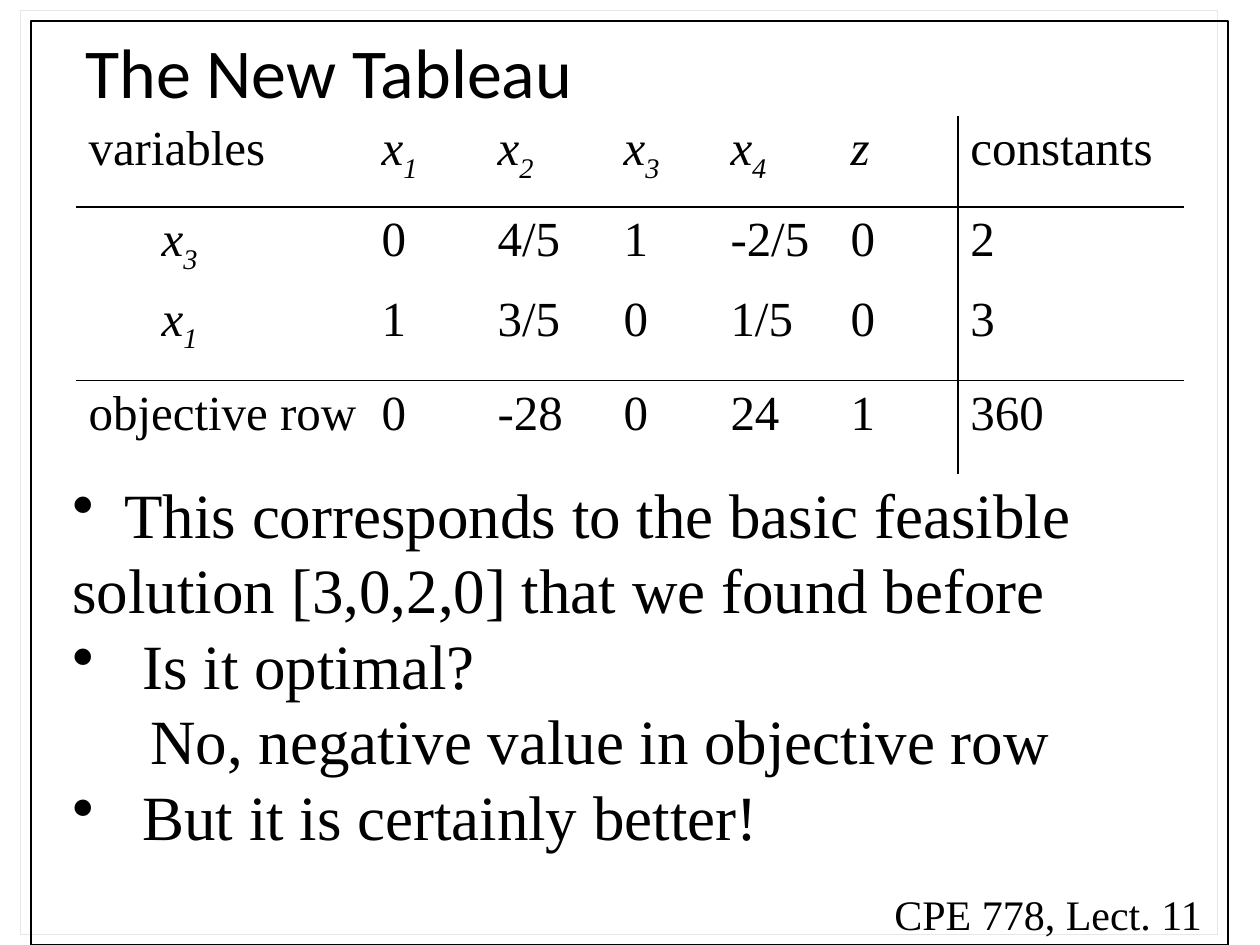
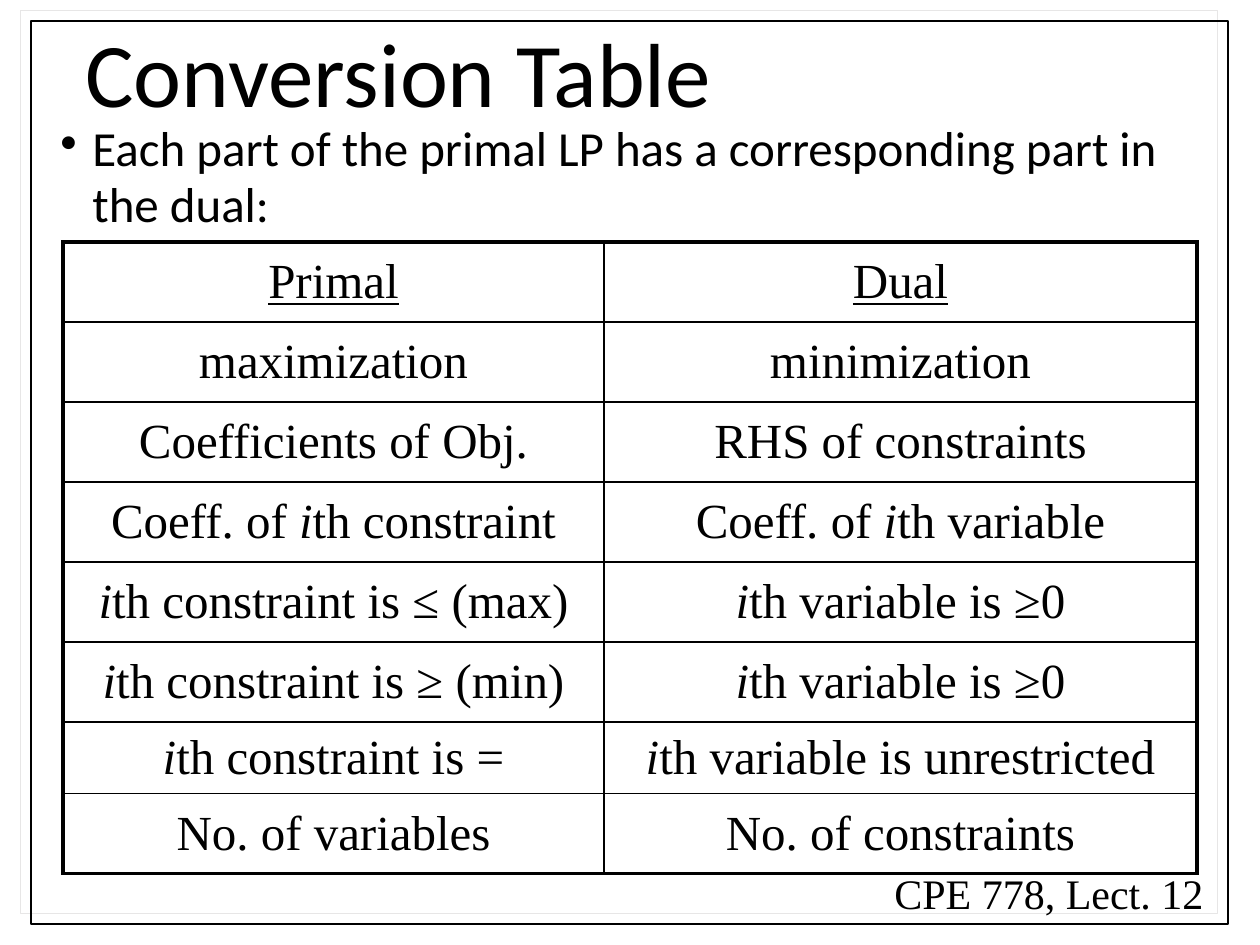
from collections import namedtuple

from pptx import Presentation
from pptx.dml.color import RGBColor
from pptx.enum.shapes import MSO_SHAPE as Preset
from pptx.enum.text import MSO_ANCHOR as Anchor, PP_ALIGN as Align
from pptx.oxml import parse_xml
from pptx.oxml.ns import nsdecls, qn
from pptx.util import Emu, Pt

EMU_PER_PX = 914400 / 126
INK = "000000"
SHADOW = "E7E6E6"
SANS = "Calibri"
SERIF = "Times New Roman"
PLAIN_TABLE = "{2D5ABB26-0587-4C30-8999-92F81FD0307C}"
CELL_SIZE = 28
THIN, THICK = 1, 2.25

Run = namedtuple("Run", "text italic subscript underline", defaults=(False, False, False))


def px(length):
    return Emu(round(length * EMU_PER_PX))


def color(hex_string):
    return RGBColor.from_string(hex_string)


def a_element(tag, attributes="", content=""):
    return parse_xml(f'<a:{tag} {nsdecls("a")} {attributes}>{content}</a:{tag}>')


# Text
def variable(name, index):
    return [Run(name, italic=True), Run(str(index), italic=True, subscript=True)]


def ith(rest, before=""):
    lead = [Run(before)] if before else []
    return lead + [Run("i", italic=True), Run(rest)]


def add_runs(paragraph, content, font_name, size):
    for part in [Run(content)] if isinstance(content, str) else content:
        run = paragraph.add_run()
        run.text = part.text
        font = run.font
        font.name, font.size, font.bold = font_name, Pt(size), False
        font.italic, font.underline = part.italic, part.underline
        font.color.rgb = color(INK)
        if part.subscript:
            run._r.get_or_add_rPr().set("baseline", "-25000")


def set_indent(paragraph, left, first=0):
    properties = paragraph._p.get_or_add_pPr()
    properties.set("marL", str(px(left)))
    properties.set("indent", str(px(first)))


def add_bullet(paragraph, tab=None):
    properties = paragraph._p.get_or_add_pPr()
    properties.append(a_element("buChar", 'char="•"'))
    if tab:
        stop = f'<a:tab pos="{px(tab)}" algn="l"/>'
        properties.append(a_element("tabLst", "", stop))


def add_text_box(slide, left, top, width, height, wrap=True):
    box = slide.shapes.add_textbox(px(left), px(top), px(width), px(height))
    box.text_frame.word_wrap = wrap
    return box.text_frame


# Parts shared by the slides
def add_title(slide, text, size, line_spacing):
    frame = add_text_box(slide, 73, 0, 1113, 157)
    frame.vertical_anchor = Anchor.MIDDLE
    paragraph = frame.paragraphs[0]
    paragraph.line_spacing = line_spacing
    add_runs(paragraph, text, SANS, size)


def add_page_frame(slide, height):
    border = slide.shapes.add_shape(Preset.RECTANGLE, px(31), px(21), px(1197), px(height))
    border.fill.background()
    border.line.color.rgb = color(INK)
    border.line.width = Pt(0.75)
    border.shadow.inherit = False
    effects = border.element.spPr.find(qn("a:effectLst"))
    effects.append(a_element(
        "outerShdw",
        f'dist="{Pt(8.5)}" dir="{225 * 60000}" algn="ctr" rotWithShape="0"',
        f'<a:srgbClr val="{SHADOW}"/>'))


def add_footer(slide, top, number):
    frame = add_text_box(slide, 882, top, 334, 63, wrap=False)
    add_runs(frame.paragraphs[0], f"CPE 778, Lect. {number}", SERIF, 24)


# Tables
def add_table(slide, left, top, columns, rows, contents, centered=False):
    graphic = slide.shapes.add_table(len(rows), len(columns), px(left), px(top),
                                     px(sum(columns)), px(sum(rows)))
    graphic.element.find(".//" + qn("a:tableStyleId")).text = PLAIN_TABLE
    table = graphic.table
    table.first_row = table.horz_banding = False
    for column, width in zip(table.columns, columns):
        column.width = px(width)
    for row, height, row_contents in zip(table.rows, rows, contents):
        row.height = px(height)
        for cell, content in zip(row.cells, row_contents):
            cell.fill.background()
            paragraph = cell.text_frame.paragraphs[0]
            add_runs(paragraph, content, SERIF, CELL_SIZE)
            paragraph._p.get_or_add_pPr().append(
                a_element("spcBef", "", '<a:spcPct val="20000"/>'))
            if centered:
                cell.vertical_anchor = Anchor.MIDDLE
                paragraph.alignment = Align.CENTER
    return table


def draw_rules(table, across, down):
    """Rule the grid; each dict maps a grid line's index to its width in points."""
    for r, row in enumerate(table.rows):
        for c, cell in enumerate(row.cells):
            sides = {"lnL": down.get(c), "lnR": down.get(c + 1),
                     "lnT": across.get(r), "lnB": across.get(r + 1)}
            properties = cell._tc.get_or_add_tcPr()
            for position, (tag, width) in enumerate(sides.items()):
                if width:
                    fill = f'<a:solidFill><a:srgbClr val="{INK}"/></a:solidFill>'
                    side = a_element(tag, f'w="{Pt(width)}"', fill)
                else:
                    side = a_element(tag, 'w="0"', "<a:noFill/>")
                properties.insert(position, side)


# Slides
def build_tableau_slide(slide):
    add_title(slide, "The New Tableau", 40, 0.8)
    add_page_frame(slide, 924)
    add_footer(slide, 882, 11)

    contents = [
        ["variables", *(variable("x", i) for i in range(1, 5)),
         [Run("z", italic=True)], "constants"],
        [variable("x", 3), "0", "4/5", "1", "-2/5", "0", "2"],
        [variable("x", 1), "1", "3/5", "0", "1/5", "0", "3"],
        ["objective row", "0", "-28", "0", "24", "1", "360"],
    ]
    table = add_table(slide, 76, 116, [293, 116, 126, 107, 120, 120, 226],
                      [91, 77, 94, 94], contents)
    for basic_row in (1, 2):
        set_indent(table.cell(basic_row, 0).text_frame.paragraphs[0], 73)
    draw_rules(table, across={1: THIN, 3: THIN}, down={6: THIN})

    # Remarks: text, left indent, first-line indent, bullet, tab stop
    remarks = [
        ("\tThis corresponds to the basic feasible solution [3,0,2,0] "
         "that we found before", 0, 0, True, 52),
        ("Is it optimal?", 70, -70, True, None),
        ("No, negative value in objective row", 78, 0, False, None),
        ("But it is certainly better!", 70, -70, True, None),
    ]
    frame = add_text_box(slide, 60, 469, 1125, 391)
    for i, (text, left, first, bulleted, tab) in enumerate(remarks):
        paragraph = frame.add_paragraph() if i else frame.paragraphs[0]
        set_indent(paragraph, left, first)
        if bulleted:
            add_bullet(paragraph, tab)
        add_runs(paragraph, text, SERIF, 36)


def build_conversion_slide(slide):
    add_title(slide, "Conversion Table", 52, 0.9)
    paragraph = add_text_box(slide, 48, 116, 1166, 179).paragraphs[0]
    paragraph.line_spacing = 0.95
    set_indent(paragraph, 32, -32)
    add_bullet(paragraph)
    add_runs(paragraph, "Each part of the primal LP has a corresponding part in the dual:",
             SANS, 28)
    add_page_frame(slide, 903)
    add_footer(slide, 861, 12)

    contents = [
        [[Run("Primal", underline=True)], [Run("Dual", underline=True)]],
        ["maximization", "minimization"],
        ["Coefficients of Obj.", "RHS of constraints"],
        [ith("th constraint", "Coeff. of "), ith("th variable", "Coeff. of ")],
        [ith("th constraint is ≤ (max)"), ith("th variable is ≥0")],
        [ith("th constraint is ≥ (min)"), ith("th variable is ≥0")],
        [ith("th constraint is ="), ith("th variable is unrestricted")],
        ["No. of variables", "No. of constraints"],
    ]
    rows = [80] * 6 + [72, 80]
    table = add_table(slide, 63, 242, [541, 593], rows, contents, centered=True)
    last = len(rows)
    draw_rules(table,
               across={i: THICK if i in (0, last) else THIN for i in range(last + 1)},
               down={0: THICK, 1: THIN, 2: THICK})


def main():
    presentation = Presentation()
    presentation.slide_width, presentation.slide_height = px(1260), px(945)
    blank = presentation.slide_layouts[6]
    for build in (build_tableau_slide, build_conversion_slide):
        build(presentation.slides.add_slide(blank))
    presentation.save("out.pptx")


if __name__ == "__main__":
    main()
